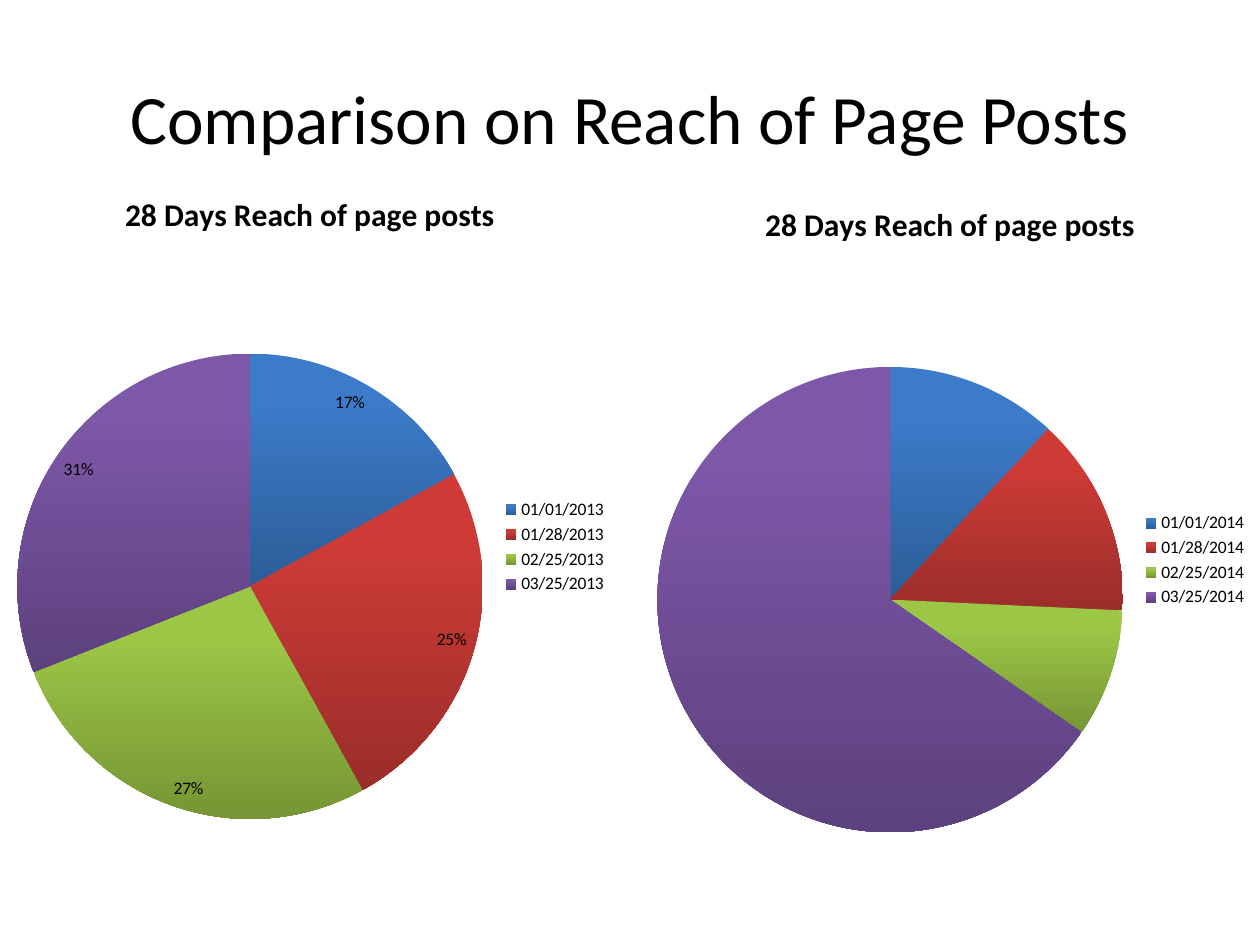
from dataclasses import dataclass

from pptx import Presentation
from pptx.chart.data import CategoryChartData
from pptx.dml.color import RGBColor
from pptx.enum import chart as charts, text
from pptx.util import Inches, Pt


@dataclass(frozen=True)
class Theme:
    font: str = "Calibri"
    ink: str = "000000"
    title_size: float = 39.6
    heading_size: float = 18
    chart_size: float = 10
    # Top and bottom colour of each slice
    slices: tuple = (
        ("3C7BC9", "2C5D98"),
        ("CE3B37", "9B2D2A"),
        ("9CC746", "769535"),
        ("7D57A8", "5D417E"),
    )


THEME = Theme()
HEADING = "28 Days Reach of page posts"


def style_font(font, size, bold=False):
    font.name = THEME.font
    font.size = Pt(size)
    font.bold = bold
    font.color.rgb = RGBColor.from_string(THEME.ink)


def add_title(page, box, wording):
    frame = page.shapes.add_textbox(*map(Inches, box)).text_frame
    frame.word_wrap = True
    frame.vertical_anchor = text.MSO_ANCHOR.MIDDLE
    para = frame.paragraphs[0]
    para.text = wording
    para.alignment = text.PP_ALIGN.CENTER
    style_font(para.font, THEME.title_size)


def add_reach_pie(page, box, dates, shares, labelled):
    data = CategoryChartData(number_format="0")
    data.categories = dates
    data.add_series(HEADING, shares)
    pie = page.shapes.add_chart(
        charts.XL_CHART_TYPE.PIE, *map(Inches, box), data).chart
    style_font(pie.font, THEME.chart_size)

    # Heading and legend
    pie.has_title = True
    heading = pie.chart_title.text_frame.paragraphs[0]
    heading.text = HEADING
    style_font(heading.font, THEME.heading_size, bold=True)
    pie.chart_title.include_in_layout = False
    pie.has_legend = True
    pie.legend.position = charts.XL_LEGEND_POSITION.RIGHT
    pie.legend.include_in_layout = False

    # Slices shaded from top to bottom
    plot = pie.plots[0]
    plot.vary_by_categories = True
    for index, shades in enumerate(THEME.slices):
        fill = plot.series[0].points[index].format.fill
        fill.gradient()
        fill.gradient_angle = 270
        for stop, place, shade in zip(fill.gradient_stops, (0.2, 1), shades):
            stop.position = place
            stop.color.rgb = RGBColor.from_string(shade)

    # Percentages
    if labelled:
        plot.has_data_labels = True
        labels = plot.data_labels
        labels.show_percentage = True
        labels.show_value = False
        labels.number_format = "0%"
        labels.number_format_is_linked = False
        labels.position = charts.XL_LABEL_POSITION.INSIDE_END
        style_font(labels.font, THEME.chart_size)


def build_comparison(deck):
    page = deck.slides.add_slide(deck.slide_layouts[6])
    add_title(page, (0.5, 0.3, 9, 1.25), "Comparison on Reach of Page Posts")
    pies = (
        (2013, (0, 1.31, 4.92, 6.06), (17, 25, 27, 31), True),
        (2014, (5.08, 1.39, 4.92, 6.11), (12, 14, 9, 66), False),
    )
    for year, box, shares, labelled in pies:
        dates = [f"{day}/{year}" for day in ("01/01", "01/28", "02/25", "03/25")]
        add_reach_pie(page, box, dates, shares, labelled)


deck = Presentation()
deck.slide_width, deck.slide_height = Inches(10), Inches(7.5)
build_comparison(deck)
deck.save("out.pptx")
